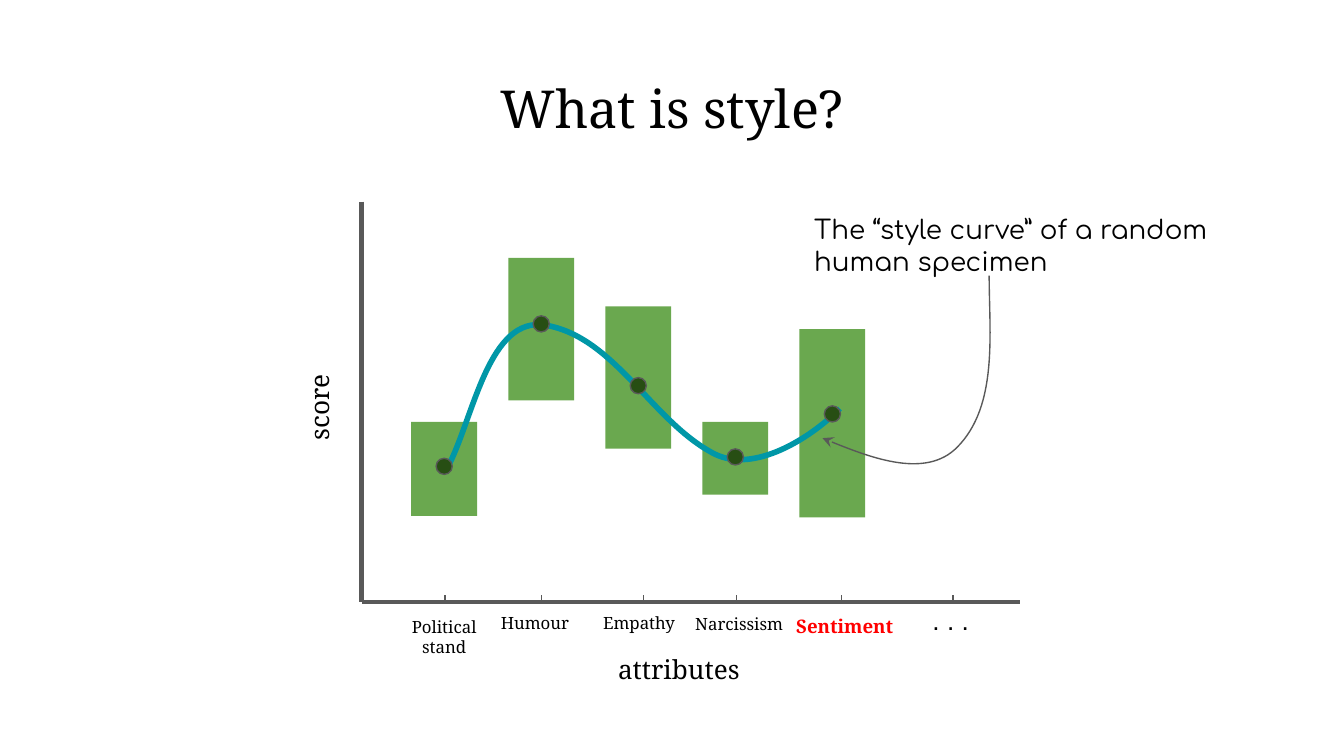
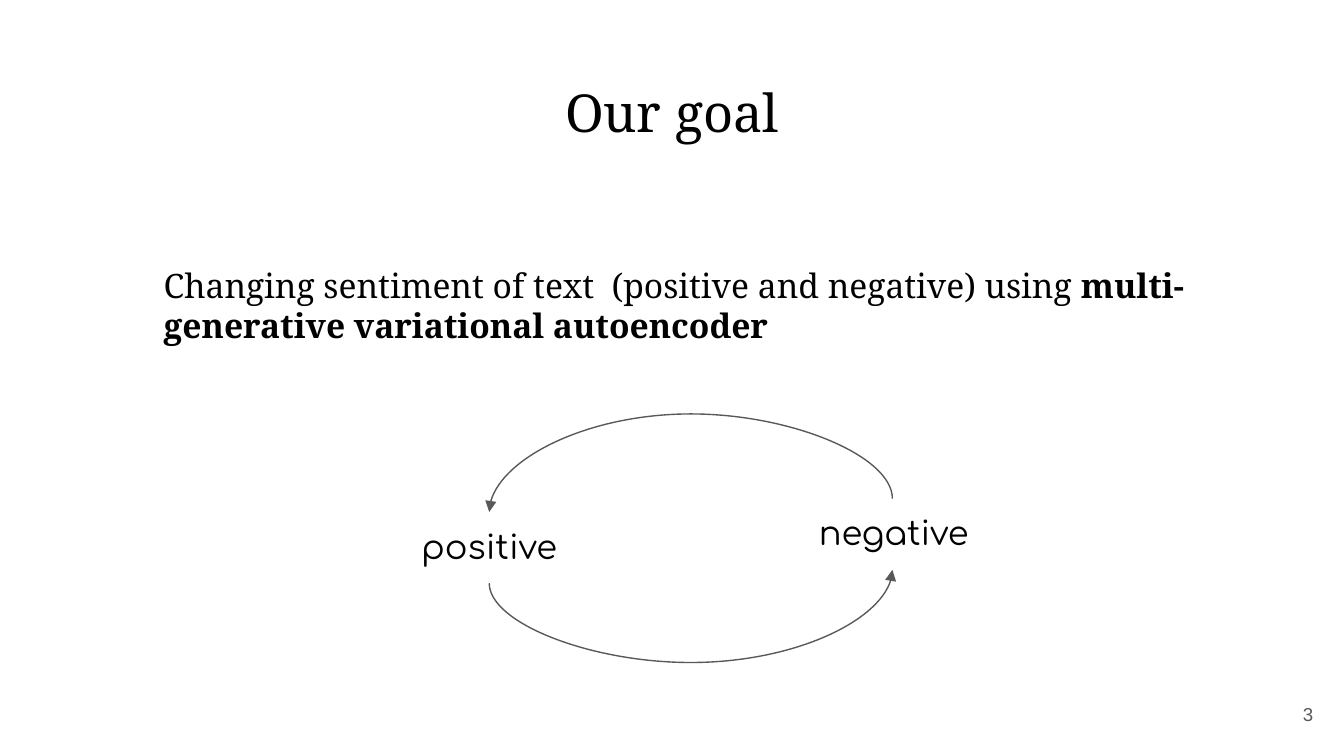
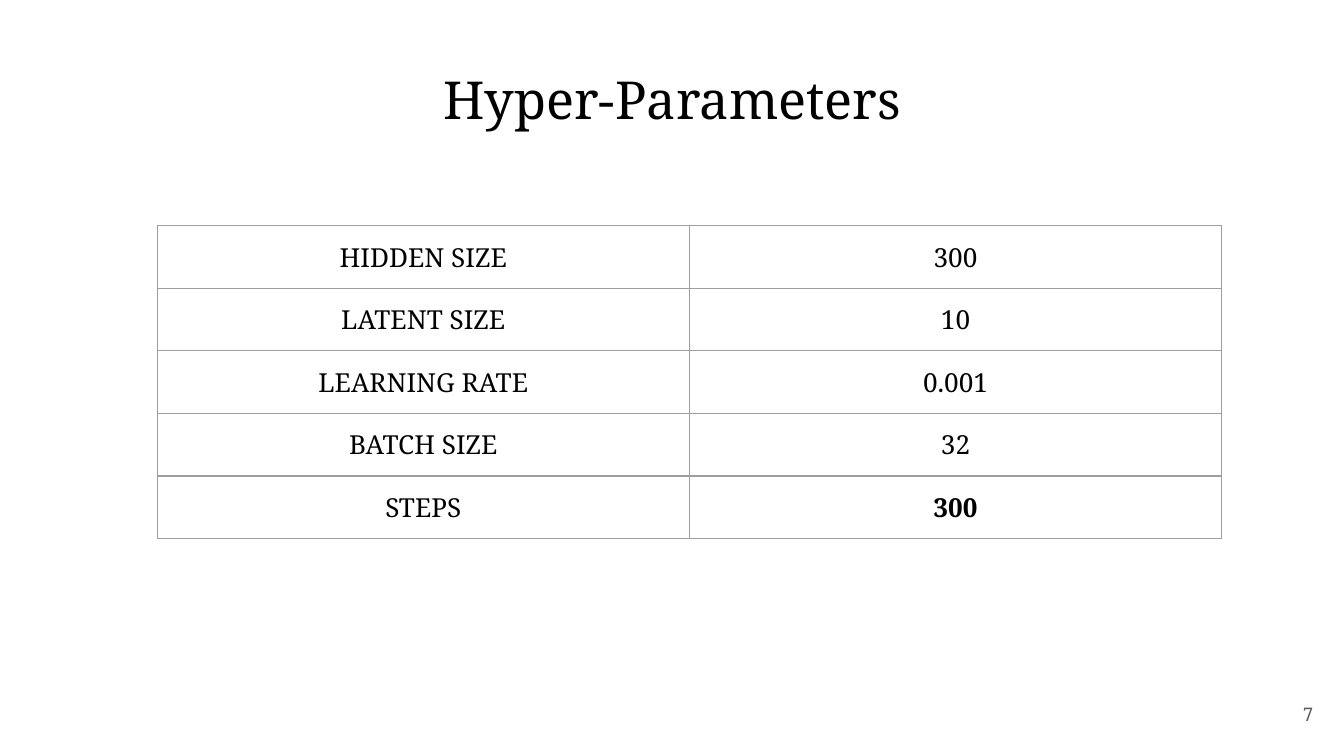
from lxml.etree import SubElement
from pptx import Presentation
from pptx.dml.color import RGBColor
from pptx.enum.shapes import MSO_CONNECTOR, MSO_SHAPE
from pptx.enum.text import MSO_ANCHOR, MSO_AUTO_SIZE, PP_ALIGN
from pptx.oxml.ns import qn
from pptx.util import Inches, Pt

COLUMNS, ROWS = 100, 56.25
UNIT = 0.1
TITLE_ONLY = 5

SERIF, ROUNDED, SANS = "Noto Serif", "Comfortaa", "Arial"
BLACK, GREY, BORDER, RED = "000000", "595959", "9E9E9E", "FF0000"
GREEN, DARK_GREEN, TEAL = "6AA84F", "274E13", "0097A7"

ALIGN = {"left": PP_ALIGN.LEFT, "center": PP_ALIGN.CENTER, "right": PP_ALIGN.RIGHT}

AXIS_LEFT, AXIS_TOP, AXIS_RIGHT, AXIS_BOTTOM = 26.9, 15, 75.9, 44.8
BAR_LEFT, BAR_WIDTH, BAR_STEP, DOT_SIZE = 30.6, 4.9, 7.22, 1.2
SCORES = [
    (31.4, 7, 34.7),
    (19.2, 10.6, 24.1),
    (22.8, 10.6, 28.7),
    (31.4, 5.4, 34),
    (24.5, 14, 30.8),
]
TICKS = [33.1, 40.3, 47.9, 54.8, 62.6, 70.9]
ATTRIBUTES = [
    ("Political\nstand", 29.2, 44.9, 7.7, {}),
    ("Humour", 35.5, 44.8, 8.6, {}),
    ("Empathy", 43.4, 44.8, 8.3, {}),
    ("Narcissism", 50, 44.9, 10, {}),
    ("Sentiment", 58.1, 44.9, 9.5, {"size": 10, "color": RED, "bold": True}),
]
STYLE_CURVE = [
    ((35.3, 30.8), (36.4, 23.5), (40.6, 24.2)),
    ((45.8, 25.1), (48.5, 31.4), (53.2, 33.8)),
    ((56.1, 35.2), (60.2, 32.7), (62.5, 30.4)),
]
POINTER_CURVE = [
    ((64.3, 33.9), (68.9, 35.6), (71.2, 33.3)),
    ((74.3, 30.2), (73.6, 24.8), (73.6, 20.5)),
]
PARAMETERS = [
    ("HIDDEN SIZE", "300"),
    ("LATENT SIZE", "10"),
    ("LEARNING RATE", "0.001"),
    ("BATCH SIZE", "32"),
    ("STEPS", "300"),
]


def grid(*units):
    return [Inches(unit * UNIT) for unit in units]


def rgb(code):
    return RGBColor.from_string(code)


def write(frame, text, size=14, font=SERIF, color=BLACK, bold=False,
          align="left", anchor=MSO_ANCHOR.TOP, bold_tail=""):
    for index, line in enumerate(text.split("\n")):
        paragraph = frame.paragraphs[0] if index == 0 else frame.add_paragraph()
        paragraph.alignment = ALIGN[align]
        for part, strong in ((line, bold), (bold_tail, True)):
            if part:
                run = paragraph.add_run()
                run.text = part
                run.font.size, run.font.name, run.font.bold = Pt(size), font, strong
                run.font.color.rgb = rgb(color)
    frame.vertical_anchor = anchor
    frame.margin_left, frame.margin_top, frame.margin_right, frame.margin_bottom = grid(1, 1, 1, 1)


def add_text(slide, text, left, top, width, height, rotation=0, **style):
    label = slide.shapes.add_textbox(*grid(left, top, width, height))
    label.rotation = rotation
    label.text_frame.word_wrap = True
    write(label.text_frame, text, **style)


def add_titled_slide(deck, text, left, top, width, height):
    slide = deck.slides.add_slide(deck.slide_layouts[TITLE_ONLY])
    title = slide.shapes.title
    title.left, title.top, title.width, title.height = grid(left, top, width, height)
    title.text_frame.auto_size = MSO_AUTO_SIZE.NONE
    write(title.text_frame, text, size=28, align="center")
    return slide


def add_page_number(slide, number, font):
    add_text(slide, number, 92.7, 51, 6, 4.3, size=10, font=font, color=GREY,
             align="right", anchor=MSO_ANCHOR.MIDDLE)


def stroke(line, color, width, head=None):
    line.color.rgb = rgb(color)
    line.width = Pt(width)
    if head:
        SubElement(line.fill._xPr, qn("a:headEnd"), type=head)


def add_line(slide, start, end, width=0.75, kind=MSO_CONNECTOR.STRAIGHT, head=None):
    line = slide.shapes.add_connector(kind, *grid(*start, *end))
    stroke(line.line, GREY, width, head)
    SubElement(line.element.spPr, qn("a:effectLst"))
    return line


def add_arc(slide, center, span, drop, reach, rotation):
    x, y = center
    arc = add_line(slide, (x - drop / 2, y - span / 2), (x + drop / 2, y + span / 2),
                   kind=MSO_CONNECTOR.CURVE, head="triangle")
    properties = arc.element.spPr
    properties.find(qn("a:xfrm")).set("rot", str(rotation * 60000))
    adjustments = next(properties.iter(qn("a:avLst")))
    SubElement(adjustments, qn("a:gd"), name="adj1", fmla=f"val {round(reach / drop * 100000)}")


def add_preset(slide, preset, left, top, width, height, fill, outline=None):
    mark = slide.shapes.add_shape(preset, *grid(left, top, width, height))
    mark.shadow.inherit = False
    mark.fill.solid()
    mark.fill.fore_color.rgb = rgb(fill)
    if outline:
        stroke(mark.line, outline, 0.75)
    else:
        mark.line.fill.background()


def add_curve(slide, start, bends, color, width, head=None):
    builder = slide.shapes.build_freeform(*grid(*start), scale=1.0)
    builder.add_line_segments([grid(*bend[-1]) for bend in bends], close=False)
    curve = builder.convert_to_shape()
    segments = list(curve.element.iter(qn("a:lnTo")))
    for segment, bend in zip(segments, bends):
        segment.clear()
        segment.tag = qn("a:cubicBezTo")
        for x, y in (grid(*point) for point in bend):
            SubElement(segment, qn("a:pt"), x=str(x - curve.left), y=str(y - curve.top))
    curve.shadow.inherit = False
    curve.fill.background()
    stroke(curve.line, color, width, head)


def add_borders(cell):
    properties = cell._tc.get_or_add_tcPr()
    for side in ("a:lnL", "a:lnR", "a:lnT", "a:lnB"):
        border = SubElement(properties, qn(side), w=str(Pt(0.75)))
        SubElement(SubElement(border, qn("a:solidFill")), qn("a:srgbClr"), val=BORDER)


def add_parameter_table(slide, rows, left, top, column_width, row_height):
    area = grid(left, top, column_width * len(rows[0]), row_height * len(rows))
    table = slide.shapes.add_table(len(rows), len(rows[0]), *area).table
    table.first_row = table.horz_banding = False
    for r, values in enumerate(rows):
        for c, value in enumerate(values):
            cell = table.cell(r, c)
            add_borders(cell)
            cell.fill.background()
            write(cell.text_frame, value, align="center", bold=(r, c) == (len(rows) - 1, 1))
            cell.margin_left, cell.margin_top, cell.margin_right, cell.margin_bottom = grid(1, 1, 1, 1)


def build_style_slide(deck):
    slide = add_titled_slide(deck, "What is style?", 24.2, 4.7, 51.6, 5.4)
    origin = (AXIS_LEFT, AXIS_BOTTOM)
    add_line(slide, (AXIS_LEFT, AXIS_TOP), origin, width=2.25)
    add_line(slide, origin, (AXIS_RIGHT, AXIS_BOTTOM), width=2.25)
    for index, (top, height, _) in enumerate(SCORES):
        add_preset(slide, MSO_SHAPE.RECTANGLE, BAR_LEFT + index * BAR_STEP, top,
                   BAR_WIDTH, height, GREEN)
    add_curve(slide, (33.4, 34.6), STYLE_CURVE, TEAL, 3)
    for index, (_, _, score) in enumerate(SCORES):
        middle = BAR_LEFT + index * BAR_STEP + BAR_WIDTH / 2
        add_preset(slide, MSO_SHAPE.OVAL, middle - DOT_SIZE / 2, score - DOT_SIZE / 2,
                   DOT_SIZE, DOT_SIZE, DARK_GREEN, GREY)
    for x in TICKS:
        add_line(slide, (x, AXIS_BOTTOM - 0.5), (x, AXIS_BOTTOM))
    for name, left, top, width, style in ATTRIBUTES:
        add_text(slide, name, left, top, width, 5.4, **{"size": 9, "align": "center", **style})
    add_text(slide, ". . .", 68.4, 44, 10, 7, font=SANS)
    add_text(slide, "score", 18.7, 26.4, 10.2, 4.5, rotation=270)
    add_text(slide, "attributes", 45, 47.6, 17.8, 4.5)
    add_text(slide, "The “style curve” of a random human specimen",
             59.6, 14.9, 33.9, 7, font=ROUNDED)
    add_curve(slide, (61.2, 32.6), POINTER_CURVE, GREY, 0.75, head="stealth")


def build_goal_slide(deck):
    slide = add_titled_slide(deck, "Our goal", 3.4, 5, 93.2, 6.3)
    add_text(slide, "Changing sentiment of text  (positive and negative) using ",
             11.2, 18.7, 79.4, 9.3, size=18,
             bold_tail="multi-generative variational autoencoder")
    for mood, left, top in (("positive", 29.4, 38.1), ("negative", 59.5, 37.1)):
        add_text(slide, mood, left, top, 14, 5.2, size=18, font=ROUNDED, align="center")
    add_arc(slide, (51.4, 37.6), 30, 1, 7.3, 270)
    add_arc(slide, (51.4, 42.9), 30, 1, 6.9, 90)
    add_page_number(slide, "3", SANS)


def build_parameter_slide(deck):
    slide = add_titled_slide(deck, "Hyper-Parameters", 3.4, 4, 93.2, 6.3)
    add_parameter_table(slide, PARAMETERS, 11.7, 16.8, 39.6, 4.4)
    add_page_number(slide, "7", SERIF)


def main():
    deck = Presentation()
    deck.slide_width, deck.slide_height = grid(COLUMNS, ROWS)
    build_style_slide(deck)
    build_goal_slide(deck)
    build_parameter_slide(deck)
    deck.save("out.pptx")


main()
